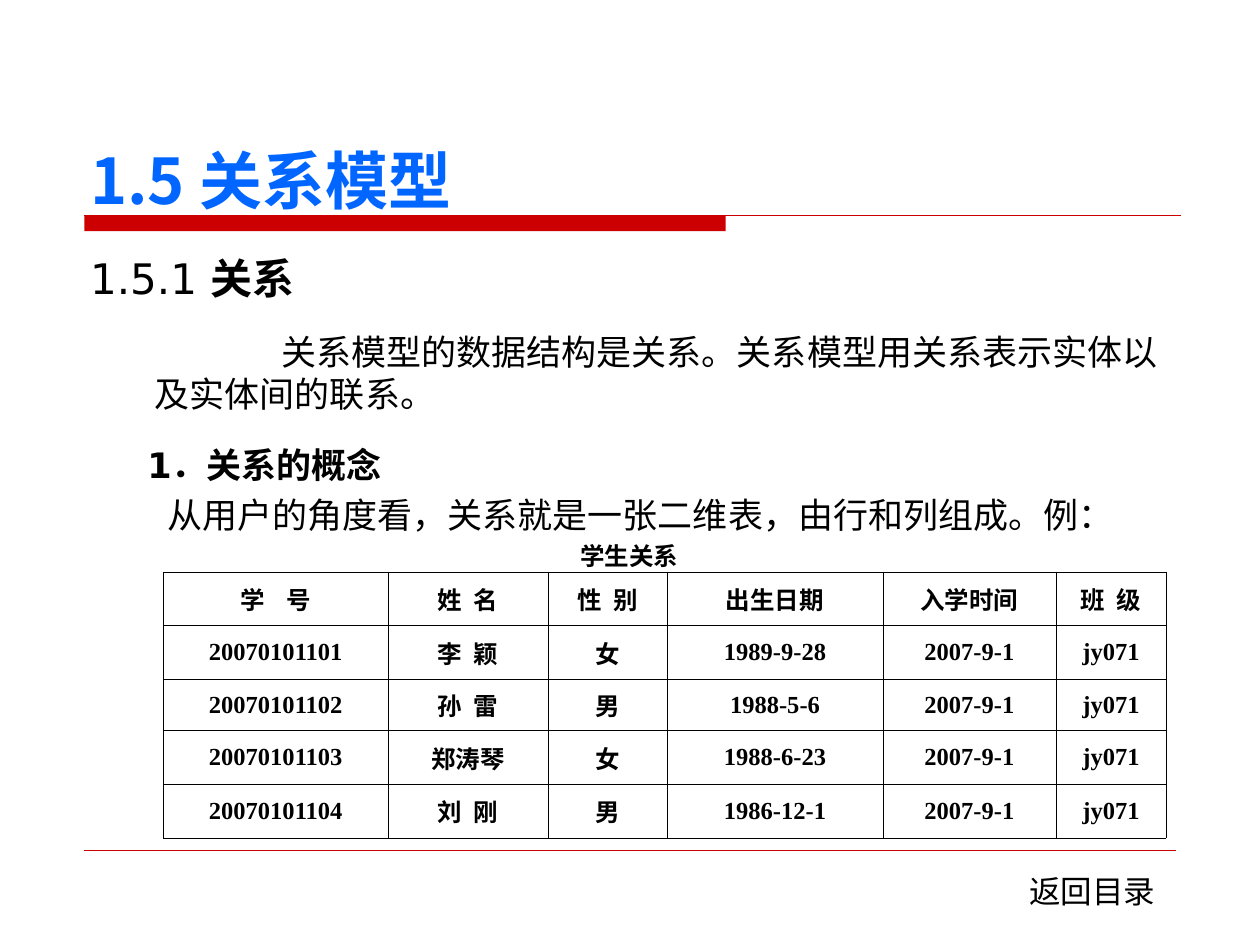
import pptx
import pptx.util
import pptx.dml.color
import pptx.enum.shapes
import pptx.enum.text
import pptx.oxml
import pptx.oxml.ns
import lxml.etree

Cm = pptx.util.Cm
Pt = pptx.util.Pt
qn = pptx.oxml.ns.qn
ALIGN = pptx.enum.text.PP_ALIGN
ANCHOR = pptx.enum.text.MSO_ANCHOR

BLUE = pptx.dml.color.RGBColor(0x00, 0x66, 0xFF)
RED = pptx.dml.color.RGBColor(0xCC, 0x00, 0x00)
BLACK = pptx.dml.color.RGBColor(0x00, 0x00, 0x00)
SANS = "DejaVu Sans"
CHINESE = "Noto Sans CJK SC"
SERIF = "Times New Roman"

STUDENTS = [
    ("学    号", "姓  名", "性  别", "出生日期", "入学时间", "班  级"),
    ("20070101101", "李  颖", "女", "1989-9-28", "2007-9-1", "jy071"),
    ("20070101102", "孙  雷", "男", "1988-5-6", "2007-9-1", "jy071"),
    ("20070101103", "郑涛琴", "女", "1988-6-23", "2007-9-1", "jy071"),
    ("20070101104", "刘  刚", "男", "1986-12-1", "2007-9-1", "jy071"),
]
COLUMN_WIDTHS = [4.52, 3.23, 2.4, 4.35, 3.49, 2.22]
ROW_HEIGHTS = [1.08, 1.08, 1.04, 1.08, 1.08]


def style(paragraph, size, latin, bold=None, color=BLACK):
    font = paragraph.font
    font.size = Pt(size)
    font.name = latin
    font.bold = bold
    font.color.rgb = color
    properties = paragraph._p.pPr.find(qn("a:defRPr"))
    east_asian = lxml.etree.Element(qn("a:ea"), typeface=CHINESE)
    properties.find(qn("a:latin")).addnext(east_asian)


def add_frame(slide, left, top, width, height):
    frame = slide.shapes.add_textbox(Cm(left), Cm(top), Cm(width), Cm(height)).text_frame
    frame.word_wrap = True
    return frame


def add_rule(slide, left, top, width, weight):
    rule = slide.shapes.add_connector(
        pptx.enum.shapes.MSO_CONNECTOR.STRAIGHT,
        Cm(left), Cm(top), Cm(left + width), Cm(top))
    rule.line.color.rgb = RED
    rule.line.width = Pt(weight)
    lxml.etree.SubElement(rule._element.spPr, qn("a:effectLst"))


def add_heading(slide, left, top, width, height):
    frame = add_frame(slide, left, top, width, height)
    frame.vertical_anchor = ANCHOR.BOTTOM
    frame.margin_bottom = 0
    heading = frame.paragraphs[0]
    heading.text = "1.5 关系模型"
    style(heading, 36, CHINESE, True, BLUE)

    rule_left, rule_top = left + 0.13, top + height - 0.02
    bar = slide.shapes.add_shape(
        pptx.enum.shapes.MSO_SHAPE.RECTANGLE,
        Cm(rule_left), Cm(rule_top), Cm(12.93), Cm(0.31))
    bar.shadow.inherit = False
    bar.fill.solid()
    bar.fill.fore_color.rgb = RED
    bar.line.fill.background()
    add_rule(slide, rule_left, rule_top, width - 0.13, 0.75)


def add_lesson(slide, left, top, width, height):
    frame = add_frame(slide, left, top, width, height)

    def add_line(parts, size, pitch, before=0, margin=0, indent=0, bold=None, align=ALIGN.LEFT):
        line = frame.paragraphs[0] if not frame.text else frame.add_paragraph()
        for text, part_bold in parts:
            run = line.add_run()
            run.text = text
            if part_bold:
                run.font.bold = True
        line.alignment = align
        line.line_spacing = Pt(pitch)
        line.space_before = Pt(before)
        style(line, size, SANS, bold)
        line._p.pPr.set("marL", str(Cm(margin)))
        line._p.pPr.set("indent", str(Cm(indent)))

    add_line([("1.5.1 ", False), ("关系", True)], 24, 31)
    add_line([("关系模型的数据结构是关系。关系模型用关系表示实体以及实体间的联系。", False)],
             20, 24, before=16, margin=1.3, indent=2.55)
    add_line([("1．关系的概念", False)], 20, 24, before=16.5, margin=1.15, bold=True)
    add_line([("从用户的角度看，关系就是一张二维表，由行和列组成。例：", False)],
             20, 24, before=4.5, margin=1.55)
    add_line([("学生关系", False)], 14, 17, before=3, bold=True, align=ALIGN.CENTER)


def add_borders(cell):
    properties = cell._tc.get_or_add_tcPr()
    for position, side in enumerate(("lnL", "lnR", "lnT", "lnB")):
        border = pptx.oxml.parse_xml(
            f'<a:{side} xmlns:a="http://schemas.openxmlformats.org/drawingml/2006/main" '
            f'w="{Pt(0.45)}"><a:solidFill><a:srgbClr val="{BLACK}"/></a:solidFill></a:{side}>')
        properties.insert(position, border)


def add_students(slide, left, top):
    students = slide.shapes.add_table(
        len(STUDENTS), len(COLUMN_WIDTHS), Cm(left), Cm(top),
        Cm(sum(COLUMN_WIDTHS)), Cm(sum(ROW_HEIGHTS))).table
    students.first_row = False
    students.horz_banding = False
    for column, width in zip(students.columns, COLUMN_WIDTHS):
        column.width = Cm(width)
    for row, height, student in zip(students.rows, ROW_HEIGHTS, STUDENTS):
        row.height = Cm(height)
        for cell, value in zip(row.cells, student):
            cell.fill.background()
            cell.vertical_anchor = ANCHOR.MIDDLE
            entry = cell.text_frame.paragraphs[0]
            entry.text = value
            entry.alignment = ALIGN.CENTER
            style(entry, 14, SERIF, True)
            add_borders(cell)


def add_footer(slide, left, top, width):
    add_rule(slide, left, top, width, 0.25)
    contents = add_frame(slide, left + width - 3.2, top + 0.3, 3.2, 1).paragraphs[0]
    contents.text = "返回目录"
    style(contents, 18, SANS)


deck = pptx.Presentation()
deck.slide_width = Cm(25.4)
deck.slide_height = Cm(19.05)
relation_slide = deck.slides.add_slide(deck.slide_layouts[6])
add_heading(relation_slide, 1.57, 0.99, 22.23, 3.38)
add_lesson(relation_slide, 1.57, 4.88, 22.23, 11.86)
add_students(relation_slide, 3.3, 11.53)
add_footer(relation_slide, 1.7, 17.15, 22)
deck.save("out.pptx")
